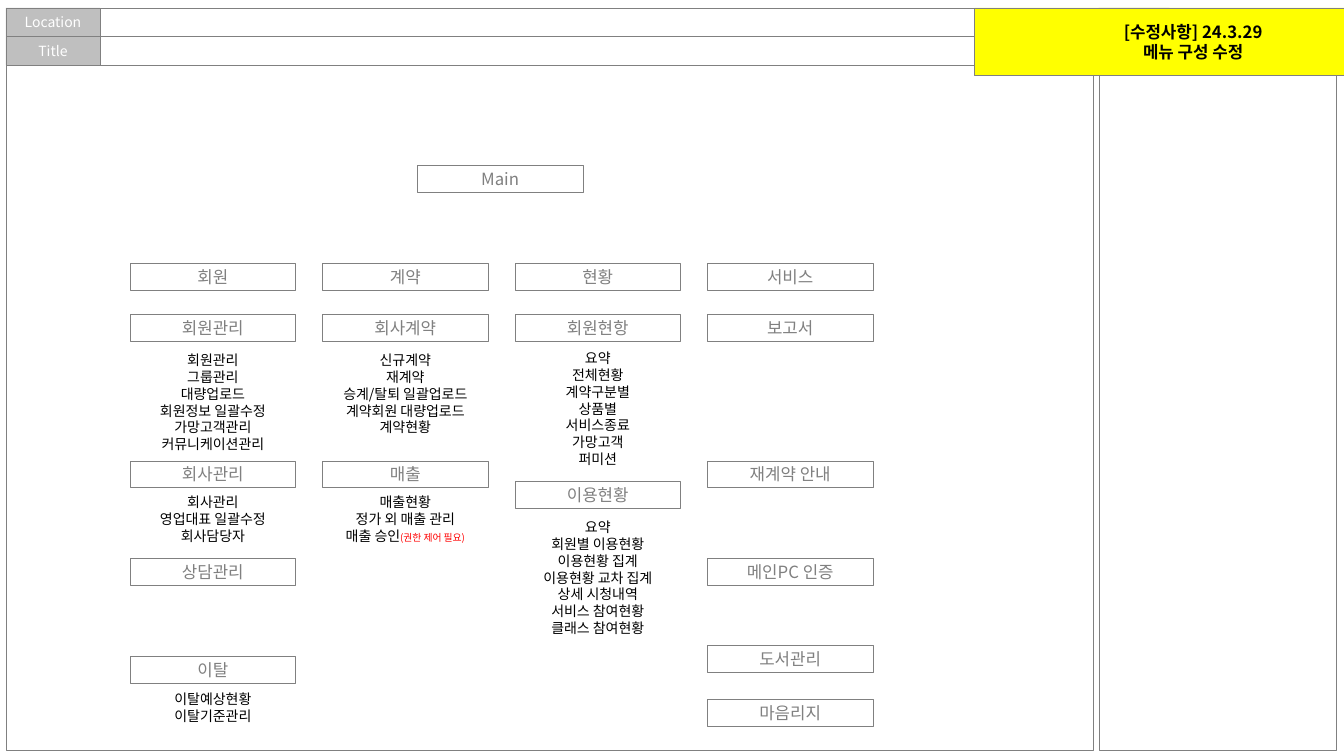
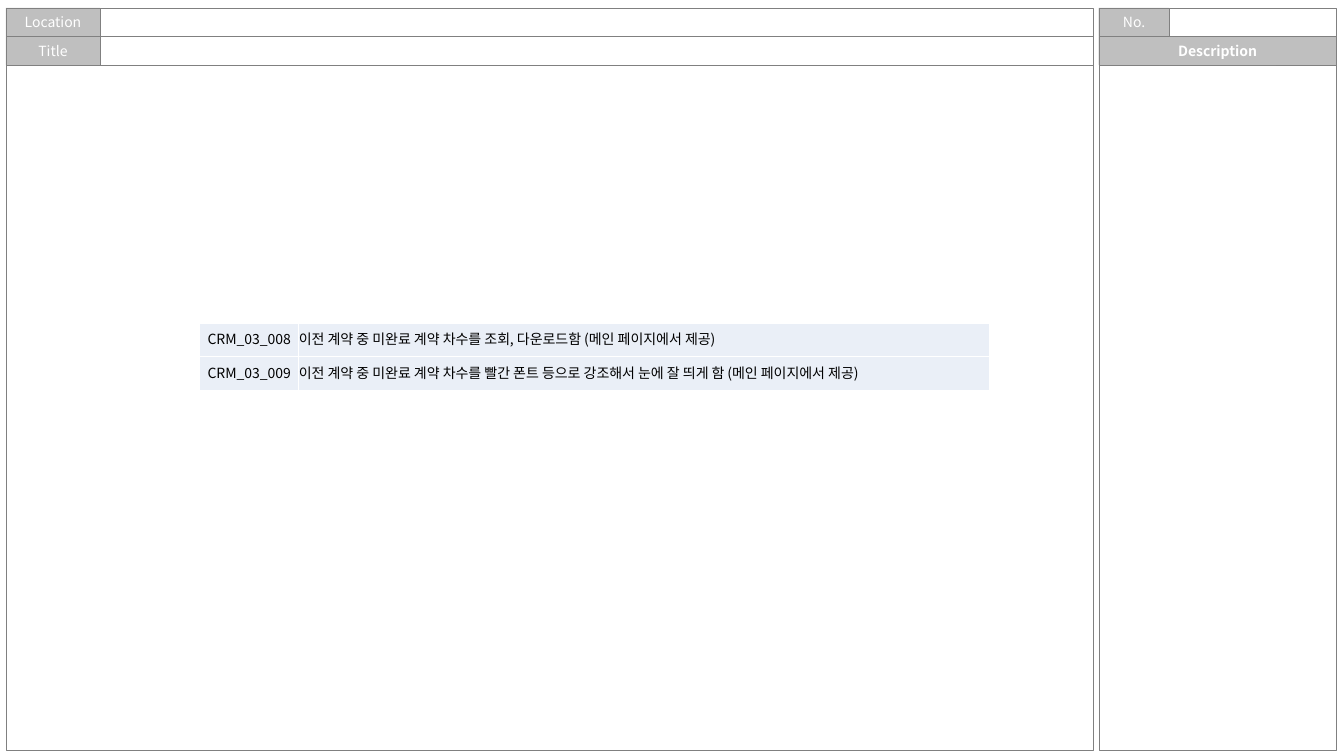
"""Build the menu structure slide and the requirement slide."""
from dataclasses import dataclass

from lxml import etree
from pptx import Presentation
from pptx import util as u
from pptx.dml.color import RGBColor
from pptx.enum import shapes, text
from pptx.oxml.ns import qn


@dataclass(frozen=True)
class Theme:
    font: str = "Noto Sans CJK KR"
    white: str = "FFFFFF"
    black: str = "000000"
    gray: str = "808080"
    label: str = "BFBFBF"
    notice: str = "FFFF00"
    alert: str = "FF0000"
    row: str = "EAEFF7"
    body: int = 10
    menu: int = 12
    note: int = 7
    spacing: float = 1.2
    line: float = 0.25
    border: int = 1


T = Theme()
CENTER = text.PP_ALIGN.CENTER


def write(tf, lines, size, color, bold=False, align=CENTER):
    for i, line in enumerate(lines):
        p = tf.add_paragraph() if i else tf.paragraphs[0]
        main, _, note = line.partition("|")
        p.text = main
        if note:
            p.add_run().text = note
        p.alignment = align
        p.line_spacing = u.Pt(size * T.spacing)
        for j, r in enumerate(p.runs):
            r.font.name = T.font
            r.font.size = u.Pt(T.note if j else size)
            r.font.bold = bold
            r.font.color.rgb = RGBColor.from_string(T.alert if j else color)
            etree.SubElement(r.font._element, qn("a:ea"), typeface=T.font)


def box(s, x, y, w, h, fill, lines=(), size=T.body, color=T.white, bold=False):
    sp = s.shapes.add_shape(shapes.MSO_SHAPE.RECTANGLE, u.Cm(x), u.Cm(y), u.Cm(w), u.Cm(h))
    sp.shadow.inherit = False
    sp.fill.solid()
    sp.fill.fore_color.rgb = RGBColor.from_string(fill)
    sp.line.color.rgb = RGBColor.from_string(T.gray)
    sp.line.width = u.Pt(T.line)
    sp.text_frame.vertical_anchor = text.MSO_ANCHOR.MIDDLE
    write(sp.text_frame, lines, size, color, bold)


prs = Presentation()
prs.slide_width, prs.slide_height = u.Cm(33.87), u.Cm(19.05)
menu_slide, request_slide = [prs.slides.add_slide(prs.slide_layouts[6]) for _ in range(2)]

top, bar_h = 0.2, 0.72
second, body_top, body_h = top + bar_h, top + 2 * bar_h, 17.26
left, label_w, field_w = 0.15, 2.37, 25.02
side, side_w, no_w = 27.69, 5.99, 1.78

for s in prs.slides:
    for y, label in ((top, "Location"), (second, "Title")):
        box(s, left + label_w, y, field_w, bar_h, T.white)
        box(s, left, y, label_w, bar_h, T.label, [label])
    box(s, side + no_w, top, side_w - no_w, bar_h, T.white)
    box(s, side, top, no_w, bar_h, T.label, ["No."])
    box(s, left, body_top, label_w + field_w, body_h, T.white)
    box(s, side, body_top, side_w, body_h, T.white)

menu_w, menu_h, menu_x, menu_step = 4.17, 0.68, 3.28, 4.85
columns = [
    [
        (6.63, "회원", 0, []),
        (7.92, "회원관리", 8.74, ["회원관리", "그룹관리", "대량업로드", "회원정보 일괄수정",
                              "가망고객관리", "커뮤니케이션관리"]),
        (11.61, "회사관리", 12.32, ["회사관리", "영업대표 일괄수정", "회사담당자"]),
        (14.07, "상담관리", 0, []),
        (16.54, "이탈", 17.27, ["이탈예상현황", "이탈기준관리"]),
    ],
    [
        (6.63, "계약", 0, []),
        (7.92, "회사계약", 8.74, ["신규계약", "재계약", "승계/탈퇴 일괄업로드",
                              "계약회원 대량업로드", "계약현황"]),
        (11.61, "매출", 12.32, ["매출현황", "정가 외 매출 관리", "매출 승인|(권한 제어 필요)"]),
    ],
    [
        (6.63, "현황", 0, []),
        (7.92, "회원현항", 8.69, ["요약", "전체현황", "계약구분별", "상품별", "서비스종료",
                              "가망고객", "퍼미션"]),
        (12.12, "이용현황", 12.95, ["요약", "회원별 이용현황", "이용현황 집계", "이용현황 교차 집계",
                                "상세 시청내역", "서비스 참여현황", "클래스 참여현황"]),
    ],
    [
        (6.63, "서비스", 0, []),
        (7.92, "보고서", 0, []),
        (11.61, "재계약 안내", 0, []),
        (14.07, "메인PC 인증", 0, []),
        (16.26, "도서관리", 0, []),
        (17.63, "마음리지", 0, []),
    ],
]

s = menu_slide
box(s, 10.52, 4.17, menu_w, menu_h, T.white, ["Main"], T.menu, T.gray)
for i, menus in enumerate(columns):
    x = menu_x + i * menu_step
    for y, name, list_y, items in menus:
        box(s, x, y, menu_w, menu_h, T.white, [name], T.menu, T.gray)
        if items:
            sp = s.shapes.add_textbox(u.Cm(x), u.Cm(list_y), u.Cm(menu_w),
                                      u.Cm(0.25 + 0.43 * len(items)))
            sp.text_frame.word_wrap = False
            write(sp.text_frame, items, T.body, T.black)
box(s, 24.56, top, 11.02, 1.7, T.notice, ["[수정사항] 24.3.29", "메뉴 구성 수정"],
    T.menu, T.black, True)

s = request_slide
box(s, side, second, side_w, bar_h, T.label, ["Description"], bold=True)
requests = [
    ("CRM_03_008", "이전 계약 중 미완료 계약 차수를 조회, 다운로드함 (메인 페이지에서 제공)"),
    ("CRM_03_009", "이전 계약 중 미완료 계약 차수를 빨간 폰트 등으로 강조해서 눈에 잘 띄게 함 (메인 페이지에서 제공)"),
]
widths, row_h = (2.5, 17.4), 0.85
table = s.shapes.add_table(len(requests), len(widths), u.Cm(5.03), u.Cm(8.14),
                           u.Cm(sum(widths)), u.Cm(row_h * len(requests))).table
table.first_row = table.horz_banding = False
for col, w in zip(table.columns, widths):
    col.width = u.Cm(w)
for row, values in zip(table.rows, requests):
    row.height = u.Cm(row_h)
    for cell, value, align in zip(row.cells, values, (CENTER, text.PP_ALIGN.LEFT)):
        cell.margin_left = cell.margin_right = cell.margin_top = cell.margin_bottom = 0
        cell.vertical_anchor = text.MSO_ANCHOR.MIDDLE
        write(cell.text_frame, [value], T.body, T.black, align=align)
        tcPr = cell._tc.get_or_add_tcPr()
        for edge in ("lnL", "lnR", "lnT", "lnB"):
            ln = etree.SubElement(tcPr, qn(f"a:{edge}"), w=str(u.Pt(T.border)))
            fill = etree.SubElement(ln, qn("a:solidFill"))
            etree.SubElement(fill, qn("a:srgbClr"), val=T.white)
        cell.fill.solid()
        cell.fill.fore_color.rgb = RGBColor.from_string(T.row)

prs.save("out.pptx")
